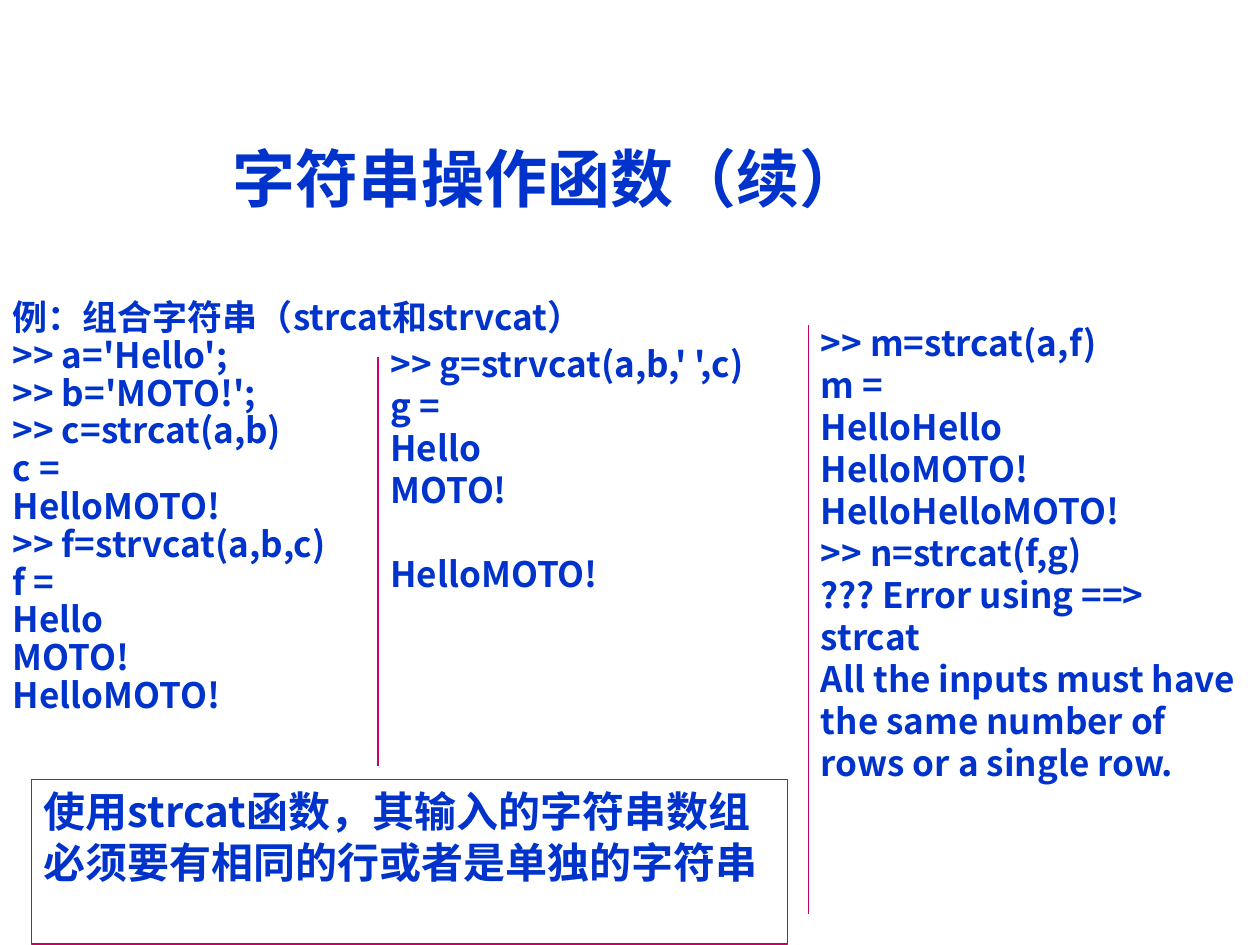
from dataclasses import dataclass

import pptx
import pptx.dml.color
import pptx.enum.shapes
import pptx.enum.text
import pptx.oxml
import pptx.oxml.ns
import pptx.util

Pt = pptx.util.Pt
FONT = "Noto Sans CJK SC"
BLUE = "0033CC"
CRIMSON = "CC0066"
HANGING_INDENT = 48
CODE_LINE = 24


@dataclass
class Box:
    left: float
    top: float
    width: float
    height: float


@dataclass
class CodeColumn:
    box: Box
    lines: list[str]


@dataclass
class Divider:
    x: float
    top: float
    bottom: float


TITLE_BOX = Box(24, 59, 578, 85)
EXAMPLE_BOX = Box(0, 168, 432, 312)
NOTE_BOX = Box(18, 445.5, 432, 94)
EXAMPLE = [
    "例：组合字符串（strcat和strvcat）",
    ">> a='Hello';",
    ">> b='MOTO!';",
    ">> c=strcat(a,b)",
    "c =",
    "HelloMOTO!",
    ">> f=strvcat(a,b,c)",
    "f =",
    "Hello",
    "MOTO!",
    "HelloMOTO!",
]
STRVCAT = CodeColumn(
    Box(216, 192, 252, 151),
    [">> g=strvcat(a,b,' ',c)", "g =", "Hello", "MOTO!", "HelloMOTO!"],
)
STRCAT = CodeColumn(
    Box(462, 180, 252, 271),
    [
        ">> m=strcat(a,f)",
        "m =",
        "HelloHello",
        "HelloMOTO!",
        "HelloHelloMOTO!",
        ">> n=strcat(f,g)",
        "??? Error using ==> strcat",
        "All the inputs must have the same number of rows or a single row.",
    ],
)
DIVIDERS = [Divider(462, 186, 522), Divider(216, 204, 438)]
NOTE = "使用strcat函数，其输入的字符串数组必须要有相同的行或者是单独的字符串"


def color(value: str) -> pptx.dml.color.RGBColor:
    return pptx.dml.color.RGBColor.from_string(value)


def place(shape, box: Box) -> None:
    shape.left, shape.top = Pt(box.left), Pt(box.top)
    shape.width, shape.height = Pt(box.width), Pt(box.height)


def write(text_frame, lines: list[str], size: float) -> None:
    """Fill the frame with one bold blue paragraph per line."""
    text_frame.text = "\n".join(lines)
    text_frame.word_wrap = True
    text_frame.auto_size = pptx.enum.text.MSO_AUTO_SIZE.NONE
    for paragraph in text_frame.paragraphs:
        paragraph.space_before = Pt(0)
        for run in paragraph.runs:
            run.font.size = Pt(size)
            run.font.bold = True
            run.font.color.rgb = color(BLUE)
            run.font.name = FONT
            east_asian = pptx.oxml.parse_xml(
                f'<a:ea {pptx.oxml.ns.nsdecls("a")} typeface="{FONT}"/>'
            )
            run.font.fill  # the fill precedes the typefaces
            run._r.get_or_add_rPr().append(east_asian)


def write_example(placeholder) -> None:
    place(placeholder, EXAMPLE_BOX)
    write(placeholder.text_frame, EXAMPLE, 20)
    for paragraph in placeholder.text_frame.paragraphs:
        paragraph.line_spacing = 0.9
        properties = paragraph._p.get_or_add_pPr()
        properties.set("marL", str(Pt(HANGING_INDENT)))
        properties.set("indent", str(Pt(-HANGING_INDENT)))
        properties.append(
            pptx.oxml.parse_xml(f'<a:buNone {pptx.oxml.ns.nsdecls("a")}/>')
        )


def add_code(slide, column: CodeColumn):
    box = column.box
    shape = slide.shapes.add_textbox(
        Pt(box.left), Pt(box.top), Pt(box.width), Pt(box.height)
    )
    write(shape.text_frame, column.lines, 20)
    return shape


def add_divider(slide, divider: Divider) -> None:
    connector = slide.shapes.add_connector(
        pptx.enum.shapes.MSO_CONNECTOR.STRAIGHT,
        Pt(divider.x), Pt(divider.top), Pt(divider.x), Pt(divider.bottom),
    )
    connector.line.color.rgb = color(CRIMSON)
    connector.line.width = Pt(0.75)
    connector._element.spPr.append(
        pptx.oxml.parse_xml(f'<a:effectLst {pptx.oxml.ns.nsdecls("a")}/>')
    )


def add_note(slide) -> None:
    box = NOTE_BOX
    shape = slide.shapes.add_shape(
        pptx.enum.shapes.MSO_SHAPE.RECTANGLE,
        Pt(box.left), Pt(box.top), Pt(box.width), Pt(box.height),
    )
    shape.shadow.inherit = False
    shape.fill.background()
    shape.line.color.rgb = color(CRIMSON)
    shape.line.width = Pt(0.75)
    write(shape.text_frame, [NOTE], 24)
    shape.text_frame.vertical_anchor = pptx.enum.text.MSO_ANCHOR.TOP
    shape.text_frame.paragraphs[0].alignment = pptx.enum.text.PP_ALIGN.LEFT


def main() -> None:
    presentation = pptx.Presentation()
    presentation.slide_width, presentation.slide_height = Pt(720), Pt(540)
    slide = presentation.slides.add_slide(presentation.slide_layouts[1])

    title = slide.shapes.title
    place(title, TITLE_BOX)
    write(title.text_frame, ["字符串操作函数（续）"], 36)
    title.text_frame.vertical_anchor = pptx.enum.text.MSO_ANCHOR.MIDDLE
    title.text_frame.paragraphs[0].alignment = pptx.enum.text.PP_ALIGN.CENTER

    write_example(slide.placeholders[1])
    strvcat = add_code(slide, STRVCAT)
    # The blank row of the string matrix takes one line of height.
    strvcat.text_frame.paragraphs[-1].space_before = Pt(CODE_LINE)
    for divider in DIVIDERS:
        add_divider(slide, divider)
    add_code(slide, STRCAT)
    add_note(slide)
    presentation.save("out.pptx")


if __name__ == "__main__":
    main()
